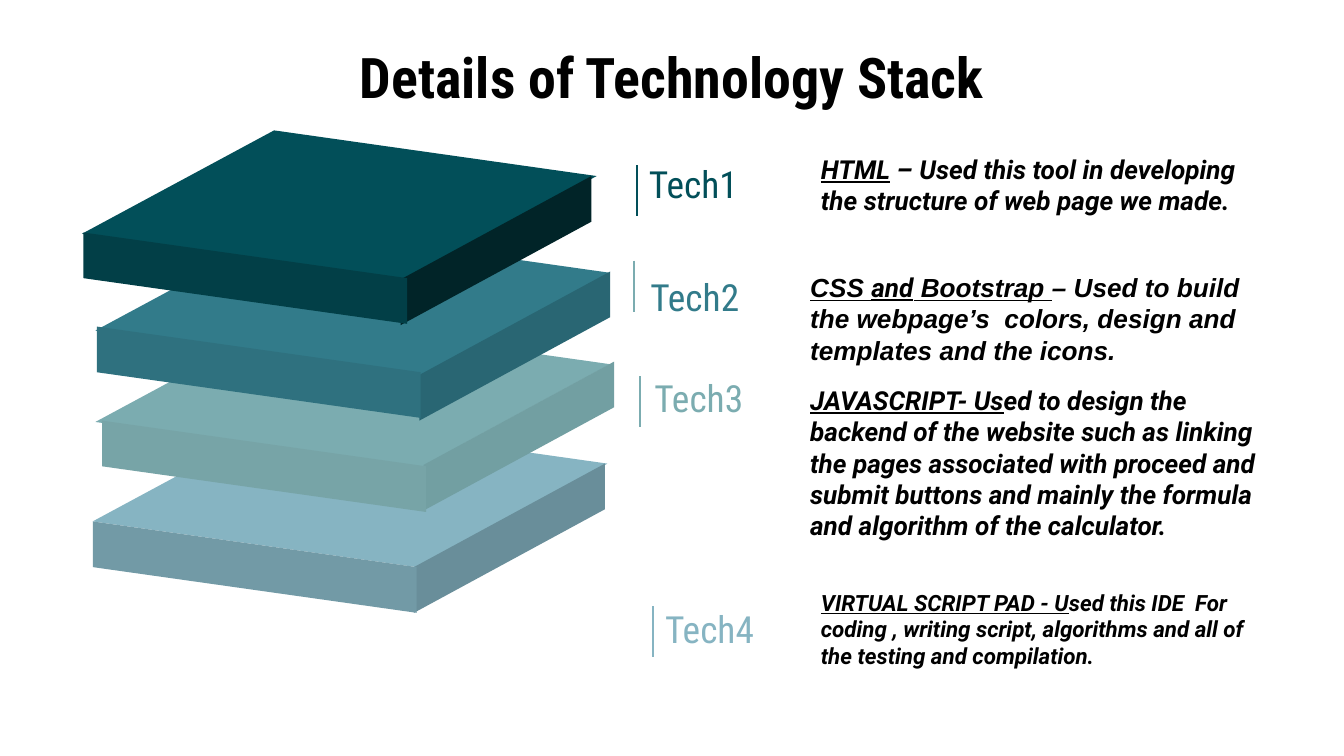
from lxml import etree
from pptx import Presentation
from pptx.dml.color import RGBColor
from pptx.enum.shapes import MSO_CONNECTOR as CONNECTOR
from pptx.enum.text import MSO_ANCHOR as ANCHOR, PP_ALIGN as ALIGN
from pptx.oxml.ns import qn
from pptx.util import Inches, Pt

COLORS = {
    "text": "000000",
    "top1": "024F59", "side1": "012428", "front1": "023F47",
    "top2": "327B8A", "side2": "296673", "front2": "2F717F",
    "top3": "7BACB0", "side3": "729FA2", "front3": "77A4A7",
    "top4": "86B4C2", "side4": "698E9A", "front4": "729AA6",
}
CONDENSED, ROBOTO, ARIAL = "Roboto Condensed", "Roboto", "Arial"

# Corners of each slab face, relative to the left corner of that face
THICKNESS = 0.34
TOP = [(0, 0), (2.41, 0.34), (3.83, -0.43), (1.43, -0.77)]
SIDE = [(0, 0), (1.42, -0.77), (1.42, -0.77 + THICKNESS), (0, THICKNESS)]
FRONT = [(0, 0), (2.41, 0.34), (2.41, 0.34 + THICKNESS), (0, THICKNESS)]

# Left corner of the top, side and front face, from the upper slab down
SLABS = [
    ((0.61, 1.74), (2.98, 2.08), (0.62, 1.73)),
    ((0.71, 2.46), (3.12, 2.79), (0.72, 2.43)),
    ((0.71, 3.14), (3.15, 3.46), (0.76, 3.13)),
    ((0.69, 3.88), (3.08, 4.22), (0.69, 3.88)),
]

# Label position, bar position and bar colour
LABELS = [
    ((4.73, 1.10), (4.74, 1.23), "top1"),
    ((4.74, 1.94), (4.72, 1.94), "top3"),
    ((4.77, 2.69), (4.76, 2.80), "top3"),
    ((4.85, 4.41), (4.86, 4.51), "top4"),
]

# Box, upper and lower inset, size, then spans of text, font and underline
DETAILS = [
    ((6.01, 1.04, 3.56, 0.82), 0.1, 14, [
        ("HTML", ROBOTO, True),
        (" – Used this tool in developing the structure of web page we made.",
         ROBOTO, False)]),
    ((5.93, 1.97, 3.64, 0.81), 0.05, 14, [
        ("CSS ", ARIAL, True),
        ("and", ROBOTO, True),
        (" Bootstrap ", ARIAL, True),
        ("– Used to build the webpage’s  colors, design and templates "
         "and the icons.", ARIAL, False)]),
    ((5.93, 2.76, 3.56, 0.82), 0.1, 14, [
        ("JAVASCRIPT- Us", ROBOTO, True),
        ("ed to design the backend of the website such as linking the pages "
         "associated with proceed and submit buttons and mainly the formula "
         "and algorithm of the calculator.", ROBOTO, False)]),
    ((6.01, 4.28, 3.56, 0.82), 0.1, 12, [
        ("VIRTUAL SCRIPT PAD - U", ROBOTO, True),
        ("sed this IDE  For coding , writing script, algorithms and all of "
         "the testing and compilation.", ROBOTO, False)]),
]


def color(name):
    return RGBColor.from_string(COLORS[name])


def add_text(page, box, spans, size, color_name, inset=0.1, bold=False,
             italic=False):
    """Place one paragraph made of (text, font, underline) spans."""
    frame = page.shapes.add_textbox(*map(Inches, box)).text_frame
    frame.word_wrap = True
    frame.margin_left = frame.margin_right = Inches(0.1)
    frame.margin_top = frame.margin_bottom = Inches(inset)
    para = frame.paragraphs[0]
    for text, font_name, underline in spans:
        span = para.add_run()
        span.text = text
        font = span.font
        font.name, font.size = font_name, Pt(size)
        font.bold, font.italic, font.underline = bold, italic, underline
        font.color.rgb = color(color_name)
    return frame


def add_title(page, box):
    spans = [("Details of Technology Stack", CONDENSED, False)]
    frame = add_text(page, box, spans, 30, "text", bold=True)
    frame.vertical_anchor = ANCHOR.MIDDLE
    frame.paragraphs[0].alignment = ALIGN.CENTER


def add_face(page, origin, corners, color_name):
    left, top = origin
    points = [(Inches(left + x), Inches(top + y)) for x, y in corners]
    builder = page.shapes.build_freeform(*points[0])
    builder.add_line_segments(points[1:], close=True)
    face = builder.convert_to_shape()
    face.shadow.inherit = False
    face.fill.solid()
    face.fill.fore_color.rgb = color(color_name)
    face.line.fill.background()


def add_slab(page, number, origins):
    for origin, corners, name in zip(origins, (TOP, SIDE, FRONT),
                                     ("top", "side", "front")):
        add_face(page, origin, corners, f"{name}{number}")


def add_label(page, number, position, bar_position, bar_color):
    # Thin upright bar
    x, y = bar_position
    bar = page.shapes.add_connector(CONNECTOR.STRAIGHT, Inches(x), Inches(y),
                                    Inches(x), Inches(y + 0.38))
    bar.line.width = Pt(1)
    bar.line.color.rgb = color(bar_color)
    etree.SubElement(bar._element.spPr, qn("a:effectLst"))
    # Name of the layer
    add_text(page, (*position, 1.42, 0.39),
             [(f"Tech{number}", CONDENSED, False)], 20, f"top{number}")


def main():
    deck = Presentation()
    deck.slide_width = Inches(10)
    deck.slide_height = deck.slide_width * 9 // 16
    page = deck.slides.add_slide(deck.slide_layouts[6])

    add_title(page, (2.53, 0.23, 4.94, 0.68))
    # Lowest slab first, so that each one covers the slab below it
    for number in range(len(SLABS), 0, -1):
        add_slab(page, number, SLABS[number - 1])
    for number, label in enumerate(LABELS, start=1):
        add_label(page, number, *label)
    for box, inset, size, spans in DETAILS:
        add_text(page, box, spans, size, "text", inset, bold=True, italic=True)

    deck.save("out.pptx")


if __name__ == "__main__":
    main()
